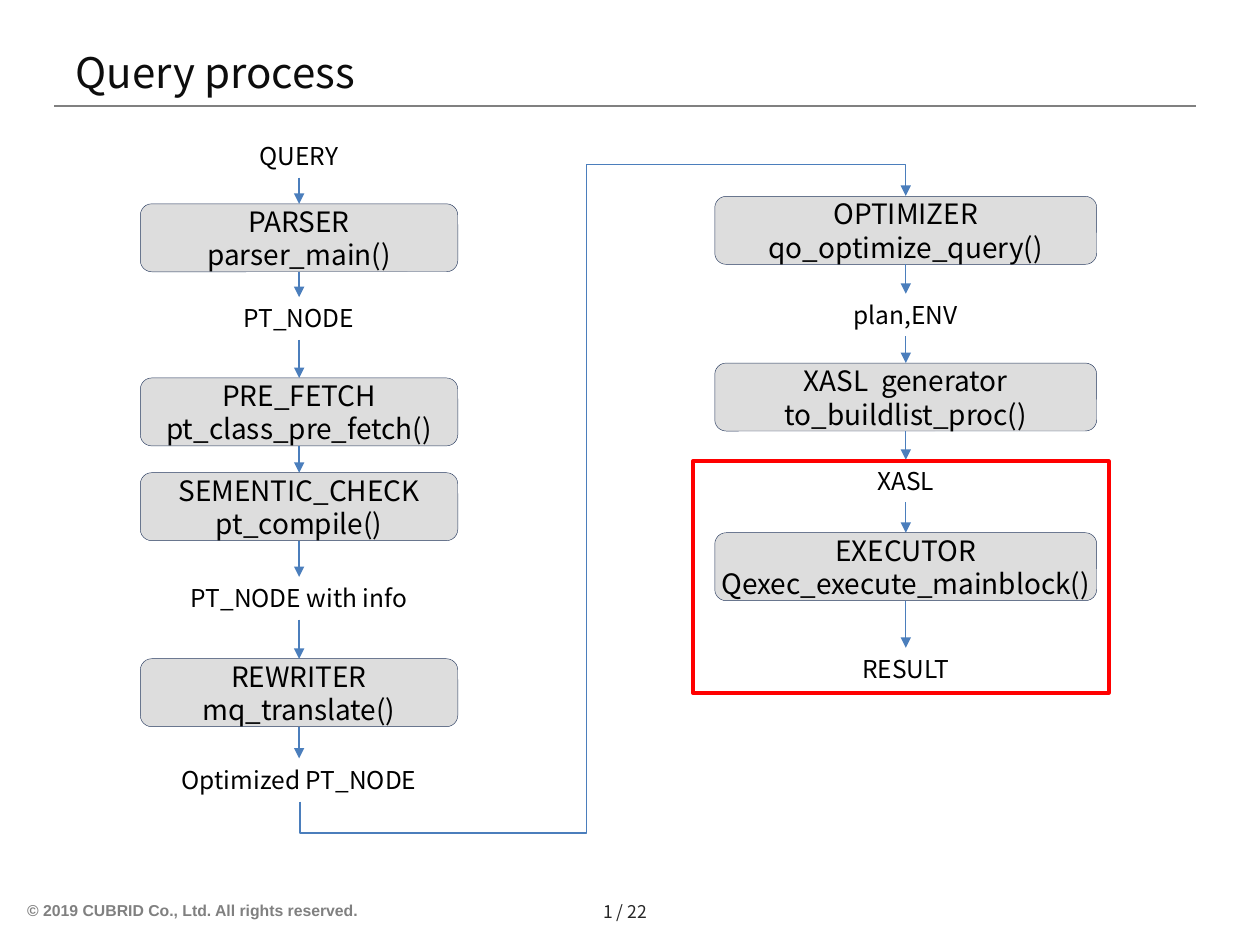
from lxml.etree import SubElement
from pptx import Presentation
from pptx.dml.color import RGBColor
from pptx.enum.shapes import MSO_CONNECTOR as CONN, MSO_SHAPE as SHAPE
from pptx.enum.text import MSO_ANCHOR as ANCHOR, MSO_AUTO_SIZE as AUTO, PP_ALIGN as ALIGN
from pptx.oxml.ns import qn
from pptx.util import Cm, Pt

COLORS = {"text": "000000", "title": "0D0D0D", "number": "262626", "gray": "808080",
          "box": "DDDDDD", "border": "26395E", "arrow": "4B7EBC", "focus": "FF0000"}
RGB = {name: RGBColor.from_string(value) for name, value in COLORS.items()}
FONT = "Noto Sans CJK KR"
BOX_H, LABEL_H = 1.37, 0.86


def write(tf, text, size, color, align, font=FONT, bold=False):
    tf.text = text
    for p in tf.paragraphs:
        p.alignment = align
        for r in p.runs:
            r.font.name, r.font.size, r.font.bold = font, Pt(size), bold
            r.font.color.rgb = RGB[color]


def connect(kind, x1, y1, x2, y2, color="arrow", width=0.75, head=True):
    line = s.shapes.add_connector(kind, Cm(x1), Cm(y1), Cm(x2), Cm(y2))
    line.line.color.rgb = RGB[color]
    line.line.width = Pt(width)
    if head:
        SubElement(line.line._get_or_add_ln(), qn("a:tailEnd"), type="triangle")
    SubElement(line._element.spPr, qn("a:effectLst"))
    return line


prs = Presentation()
prs.slide_width, prs.slide_height = Cm(25.4), Cm(19.05)
s = prs.slides.add_slide(prs.slide_layouts[5])

# Title and rule
title = s.shapes.title
title.left, title.top, title.width, title.height = Cm(1.27), Cm(0.76), Cm(22.86), Cm(1.37)
tf = title.text_frame
tf.auto_size = AUTO.NONE
tf.vertical_anchor = ANCHOR.MIDDLE
write(tf, "Query process", 24, "title", ALIGN.LEFT)
connect(CONN.STRAIGHT, 1.09, 2.14, 24.1, 2.14, "gray", 1.25, head=False)

# Footer
tf = s.shapes.add_textbox(Cm(0.3), Cm(18.03), Cm(7.34), Cm(0.64)).text_frame
tf.word_wrap = False
write(tf, "© 2019 CUBRID Co., Ltd. All rights reserved.", 9, "gray", ALIGN.LEFT, "Arial", True)
tf = s.shapes.add_textbox(Cm(10.9), Cm(17.98), Cm(2.39), Cm(0.79)).text_frame
tf.word_wrap = True
tf.vertical_anchor = ANCHOR.MIDDLE
write(tf, "1 / 22", 10, "number", ALIGN.RIGHT)

# Flow columns: centre, box width, steps (top, text); two-line steps are boxes
columns = [
    (6.03, 6.4, [(2.72, "QUERY"), (4.11, "PARSER\nparser_main()"), (5.99, "PT_NODE"),
                 (7.62, "PRE_FETCH\npt_class_pre_fetch()"),
                 (9.53, "SEMENTIC_CHECK\npt_compile()"), (11.63, "PT_NODE with info"),
                 (13.28, "REWRITER\nmq_translate()"), (15.29, "Optimized PT_NODE")]),
    (18.26, 7.7, [(3.96, "OPTIMIZER\nqo_optimize_query()"), (5.92, "plan,ENV"),
                  (7.32, "XASL  generator\nto_buildlist_proc()"), (9.27, "XASL"),
                  (10.74, "EXECUTOR\nQexec_execute_mainblock()"), (13.06, "RESULT")]),
]
for center, box_w, steps in columns:
    bottom = None
    for top, text in steps:
        is_box = "\n" in text
        w = box_w if is_box else 3.4 if text in ("QUERY", "PT_NODE") else 6.4
        h = BOX_H if is_box else LABEL_H
        area = Cm(center - w / 2), Cm(top), Cm(w), Cm(h)
        if is_box:
            sp = s.shapes.add_shape(SHAPE.ROUNDED_RECTANGLE, *area)
            sp.shadow.inherit = False
            sp.fill.solid()
            sp.fill.fore_color.rgb = RGB["box"]
            sp.line.color.rgb = RGB["border"]
            sp.line.width = Pt(0.25)
            tf = sp.text_frame
            tf.margin_left = tf.margin_right = tf.margin_top = tf.margin_bottom = Cm(0.1)
            tf.vertical_anchor = ANCHOR.MIDDLE
        else:
            tf = s.shapes.add_textbox(*area).text_frame
        tf.word_wrap = not is_box
        write(tf, text, 16 if is_box else 14, "text", ALIGN.CENTER)
        if bottom is not None:
            connect(CONN.STRAIGHT, center, bottom, center, top)
        bottom = top + h

# Elbow from the left column's end to the right column's start, turned a quarter
elbow = connect(CONN.ELBOW, 18.26, 16.16, 6.05, 3.95)
elbow.rotation = 90 if hasattr(elbow, "rotation") else None
elbow._element.spPr.find(qn("a:xfrm")).set("rot", "5400000")
geom = elbow._element.spPr.find(qn("a:prstGeom"))
geom.set("prst", "bentConnector5")
guides = geom.find(qn("a:avLst"))
for i, value in enumerate((-5200, 47300, 105200), 1):
    SubElement(guides, qn("a:gd"), name=f"adj{i}", fmla=f"val {value}")

# Highlighted execution stage
focus = s.shapes.add_shape(SHAPE.RECTANGLE, Cm(13.97), Cm(9.3), Cm(8.38), Cm(4.67))
focus.shadow.inherit = False
focus.fill.background()
focus.line.color.rgb = RGB["focus"]
focus.line.width = Pt(2.25)

prs.save("out.pptx")
